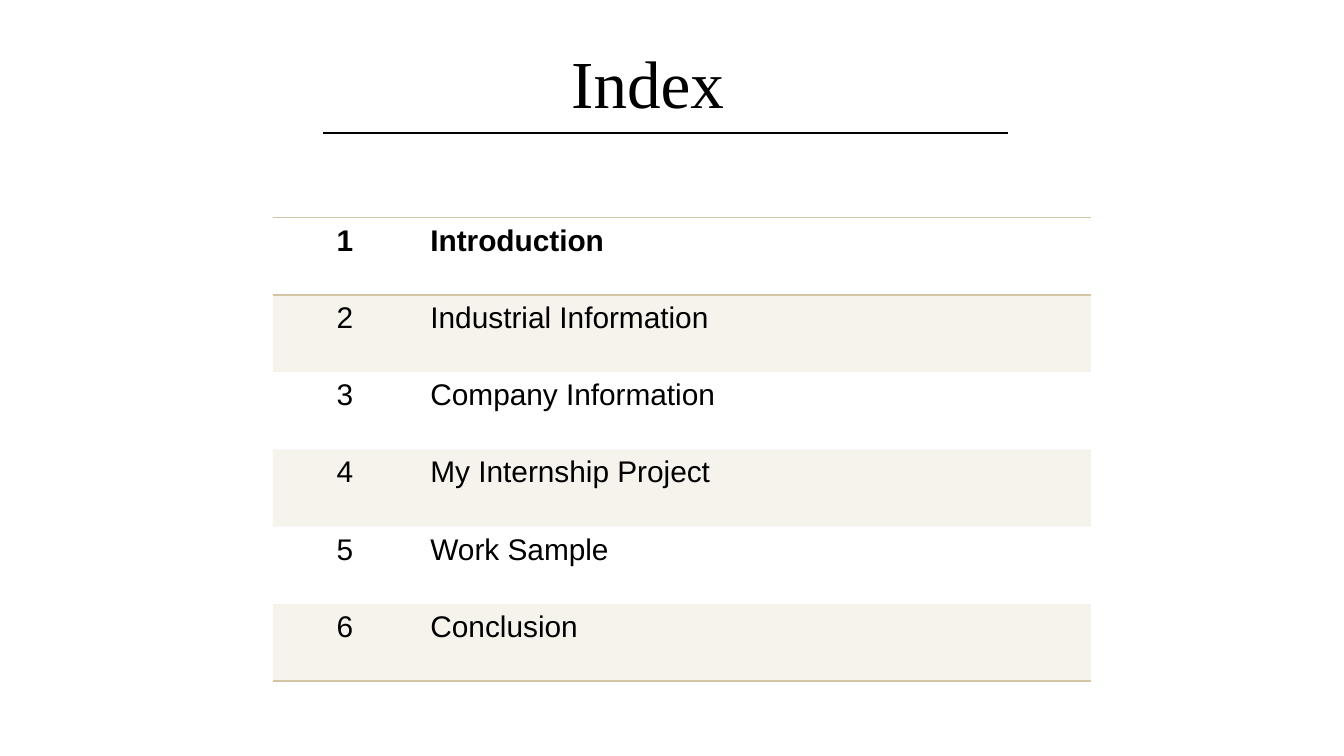
from lxml.etree import SubElement
from pptx import Presentation
from pptx.dml.color import RGBColor
from pptx.enum.shapes import MSO_CONNECTOR
from pptx.enum.text import MSO_ANCHOR, PP_ALIGN
from pptx.oxml.ns import qn
from pptx.util import Pt

BLACK = "000000"
SAND = "D3C5A3"
NO_STYLE_NO_GRID = "{2D5ABB26-0587-4C30-8999-92F81FD0307C}"


def color(hex_value):
    return RGBColor.from_string(hex_value)


def add_border(cell, side):
    """Draw a 1 pt sand line on side "T" or "B"; call before filling the cell."""
    line = SubElement(cell._tc.get_or_add_tcPr(), qn(f"a:ln{side}"), w=str(Pt(1)))
    SubElement(SubElement(line, qn("a:solidFill")), qn("a:srgbClr"), val=SAND)


presentation = Presentation()
presentation.slide_width = Pt(720)
presentation.slide_height = Pt(405)
slide = presentation.slides.add_slide(presentation.slide_layouts[5])

# Title and its rule
title = slide.shapes.title
title.left, title.top, title.width, title.height = Pt(298.8), Pt(18.7), Pt(115.2), Pt(51.1)
title.text_frame.text = "Index"
title.text_frame.vertical_anchor = MSO_ANCHOR.TOP
heading = title.text_frame.paragraphs[0]
heading.alignment = PP_ALIGN.LEFT
heading.font.name = "Times New Roman"
heading.font.size = Pt(36)
heading.font.color.rgb = color(BLACK)

title_rule = slide.shapes.add_connector(
    MSO_CONNECTOR.STRAIGHT, Pt(540), Pt(71.3), Pt(172.8), Pt(71.3))
title_rule.line.color.rgb = color(BLACK)
title_rule.line.width = Pt(0.75)
SubElement(title_rule._element.spPr, qn("a:effectLst"))

# Numbered chapters
chapters = ["Introduction", "Industrial Information", "Company Information",
            "My Internship Project", "Work Sample", "Conclusion"]
row_height = 41.4
index = slide.shapes.add_table(
    len(chapters), 2, Pt(146.2), Pt(116.6), Pt(438.2), Pt(row_height * len(chapters))).table
index._tbl.tblPr.find(qn("a:tableStyleId")).text = NO_STYLE_NO_GRID
index.columns[0].width = Pt(77.2)
index.columns[1].width = Pt(361)

for row, chapter in enumerate(chapters):
    index.rows[row].height = Pt(row_height)
    is_first = row == 0
    is_last = row == len(chapters) - 1
    for column, label in enumerate([str(row + 1), chapter]):
        cell = index.cell(row, column)
        if is_first:
            add_border(cell, "T")
        if is_first or is_last:
            add_border(cell, "B")
        if row % 2:
            cell.fill.solid()
            cell.fill.fore_color.rgb = color(SAND)
            tint = cell._tc.tcPr.find(f"{qn('a:solidFill')}/{qn('a:srgbClr')}")
            SubElement(tint, qn("a:alpha"), val="20000")
        else:
            cell.fill.background()
        cell.text = label
        entry = cell.text_frame.paragraphs[0]
        entry.alignment = PP_ALIGN.LEFT if column else PP_ALIGN.CENTER
        entry.font.name = "Arial"
        entry.font.size = Pt(16)
        entry.font.bold = is_first
        entry.font.color.rgb = color(BLACK)

presentation.save("out.pptx")
